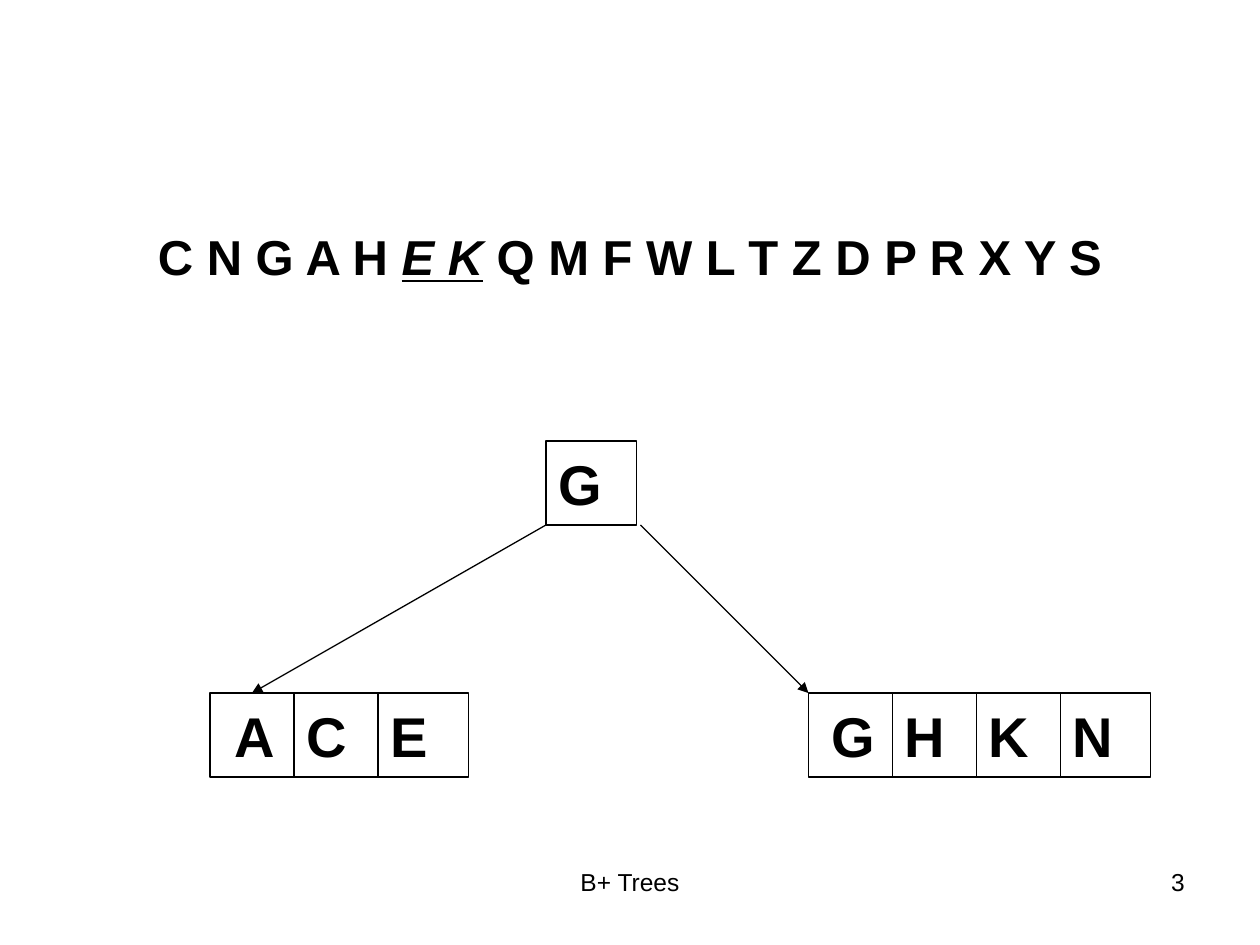
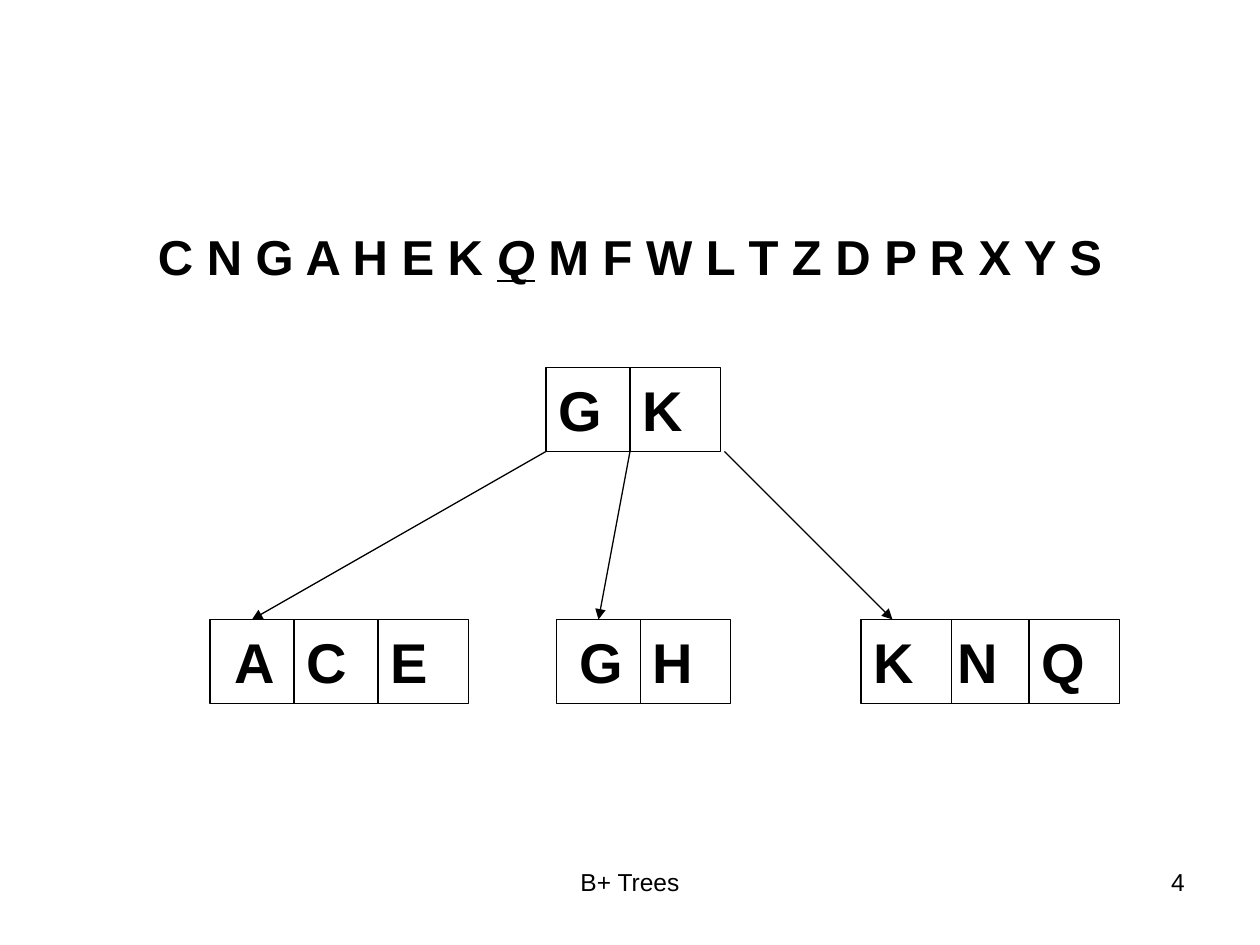
from dataclasses import dataclass

import lxml.etree
import pptx
import pptx.dml.color
import pptx.enum.shapes
import pptx.enum.text
import pptx.oxml.ns
import pptx.util

INK = pptx.dml.color.RGBColor(0x00, 0x00, 0x00)
PAPER = pptx.dml.color.RGBColor(0xFF, 0xFF, 0xFF)
FONT = "Arial"
ALIGN = pptx.enum.text.PP_ALIGN

SLIDE_WIDTH = pptx.util.Inches(10)
SLIDE_HEIGHT = pptx.util.Inches(7.5)
COLUMNS, ROWS = 120, 90
KEY_STEP, KEY_WIDTH, KEY_HEIGHT = 8, 8.6, 8
LEVEL_DROP = 24


@dataclass(frozen=True)
class Area:
    column: float
    row: float
    columns: float
    rows: float


@dataclass(frozen=True)
class Node:
    keys: str
    column: float
    centred_first: bool = False
    rear_key: str = ""


@dataclass(frozen=True)
class Pointer:
    start: float
    end: float


@dataclass(frozen=True)
class InsertionStep:
    number: int
    inserted: str
    current: str
    waiting: str
    root_row: float
    root: Node
    leaves: tuple[Node, ...]
    pointers: tuple[Pointer, ...]


SEQUENCE_AREA = Area(6, 21, 108, 59.4)
FOOTER_AREA = Area(41, 82, 38, 6.2)
NUMBER_AREA = Area(86, 82, 28, 6.2)

ACE_LEAF = Node("ACE", 20, centred_first=True)
LEFT_POINTER = Pointer(52, 24)

STEPS = (
    InsertionStep(
        3, "C N G A H ", "E K", " Q M F W L T Z D P R X Y S", 42,
        Node("G", 52),
        (ACE_LEAF, Node("GHKN", 77, centred_first=True)),
        (LEFT_POINTER, Pointer(61, 77)),
    ),
    InsertionStep(
        4, "C N G A H E K ", "Q", " M F W L T Z D P R X Y S", 35,
        Node("GK", 52),
        (ACE_LEAF, Node("GH", 53, centred_first=True), Node("KNQ", 82, rear_key="N")),
        (LEFT_POINTER, Pointer(60, 57), Pointer(69, 85)),
    ),
)


def across(columns: float) -> int:
    return round(SLIDE_WIDTH * columns / COLUMNS)


def down(rows: float) -> int:
    return round(SLIDE_HEIGHT * rows / ROWS)


def bounds(area: Area) -> tuple[int, int, int, int]:
    return across(area.column), down(area.row), across(area.columns), down(area.rows)


def style_run(run, size: float, bold: bool = False, marked: bool = False) -> None:
    run.font.name = FONT
    run.font.size = pptx.util.Pt(size)
    run.font.color.rgb = INK
    run.font.bold = bold
    run.font.italic = marked
    run.font.underline = marked


def add_paragraph_area(slide, area: Area, alignment):
    frame = slide.shapes.add_textbox(*bounds(area)).text_frame
    frame.word_wrap = True
    paragraph = frame.paragraphs[0]
    paragraph.alignment = alignment
    return paragraph


def draw_sequence(slide, step: InsertionStep) -> None:
    sequence = add_paragraph_area(slide, SEQUENCE_AREA, ALIGN.CENTER)
    sequence.space_before = pptx.util.Pt(3)
    for letters in (step.inserted, step.current, step.waiting):
        run = sequence.add_run()
        run.text = letters
        style_run(run, 28, bold=True, marked=letters == step.current)


def draw_footer(slide, area: Area, wording: str, alignment) -> None:
    footer = add_paragraph_area(slide, area, alignment)
    footer.text = wording
    style_run(footer.runs[0], 14)


def draw_key(slide, key: str, area: Area, alignment) -> None:
    box = slide.shapes.add_shape(pptx.enum.shapes.MSO_SHAPE.RECTANGLE, *bounds(area))
    box.shadow.inherit = False
    box.fill.solid()
    box.fill.fore_color.rgb = PAPER
    box.line.color.rgb = INK
    box.line.width = pptx.util.Pt(0.75)
    box.text_frame.text = key
    box.text_frame.vertical_anchor = pptx.enum.text.MSO_ANCHOR.MIDDLE
    paragraph = box.text_frame.paragraphs[0]
    paragraph.alignment = alignment
    style_run(paragraph.runs[0], 32, bold=True)


def draw_node(slide, node: Node, row: float) -> None:
    rear_to_front = sorted(enumerate(node.keys), key=lambda entry: entry[1] != node.rear_key)
    for position, key in rear_to_front:
        centred = node.centred_first and position == 0
        area = Area(node.column + position * KEY_STEP, row, KEY_WIDTH, KEY_HEIGHT)
        draw_key(slide, key, area, ALIGN.CENTER if centred else ALIGN.LEFT)


def draw_pointer(slide, pointer: Pointer, root_row: float) -> None:
    arrow = slide.shapes.add_connector(
        pptx.enum.shapes.MSO_CONNECTOR.STRAIGHT,
        across(pointer.start), down(root_row + KEY_HEIGHT),
        across(pointer.end), down(root_row + LEVEL_DROP),
    )
    arrow.line.color.rgb = INK
    arrow.line.width = pptx.util.Pt(0.75)
    qn = pptx.oxml.ns.qn
    properties = arrow._element.spPr
    outline = properties.find(qn("a:ln"))
    lxml.etree.SubElement(outline, qn("a:tailEnd"), type="triangle")
    lxml.etree.SubElement(properties, qn("a:effectLst"))


def draw_step(slide, step: InsertionStep) -> None:
    draw_sequence(slide, step)
    for pointer in step.pointers:
        draw_pointer(slide, pointer, step.root_row)
    draw_node(slide, step.root, step.root_row)
    for leaf in step.leaves:
        draw_node(slide, leaf, step.root_row + LEVEL_DROP)
    draw_footer(slide, FOOTER_AREA, "B+ Trees", ALIGN.CENTER)
    draw_footer(slide, NUMBER_AREA, str(step.number), ALIGN.RIGHT)


def main() -> None:
    presentation = pptx.Presentation()
    presentation.slide_width = SLIDE_WIDTH
    presentation.slide_height = SLIDE_HEIGHT
    blank = presentation.slide_layouts[6]
    for step in STEPS:
        draw_step(presentation.slides.add_slide(blank), step)
    presentation.save("out.pptx")


if __name__ == "__main__":
    main()
